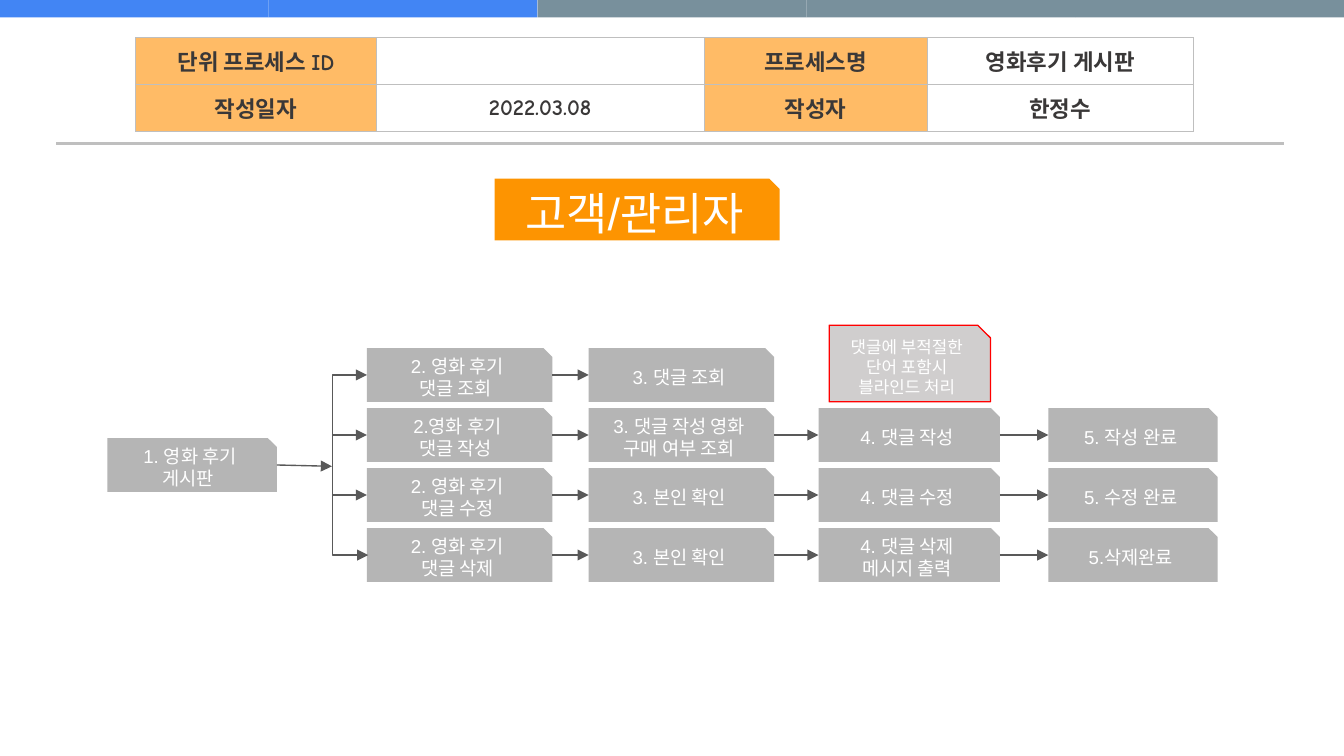
import pptx
import pptx.util
import pptx.dml.color
import pptx.enum.shapes
import pptx.enum.text
import pptx.oxml
import pptx.oxml.ns

Inches = pptx.util.Inches
Pt = pptx.util.Pt
RGBColor = pptx.dml.color.RGBColor
SHAPE = pptx.enum.shapes.MSO_SHAPE
CONNECTOR = pptx.enum.shapes.MSO_CONNECTOR
qn = pptx.oxml.ns.qn

BLUE = RGBColor(0x42, 0x85, 0xF4)
SLATE = RGBColor(0x78, 0x90, 0x9C)
AMBER = RGBColor(0xFF, 0xAB, 0x40)
ORANGE = RGBColor(0xFD, 0x94, 0x01)
WHITE = RGBColor(0xFF, 0xFF, 0xFF)
STEP_GREY = RGBColor(0xB5, 0xB5, 0xB5)
NOTE_GREY = RGBColor(0xD0, 0xCE, 0xCE)
RULE_GREY = RGBColor(0xBF, 0xBF, 0xBF)
ARROW_GREY = RGBColor(0x59, 0x59, 0x59)
INK = RGBColor(0x3A, 0x38, 0x38)
RED = RGBColor(0xFF, 0x00, 0x00)

INFO_ROWS = [
    ["단위 프로세스 ID", "", "프로세스명", "영화후기 게시판"],
    ["작성일자", "2022.03.08", "작성자", "한정수"],
]
INFO_WIDTHS = [1.79, 2.44, 1.66, 1.98]

# Left edge and width of the columns for steps 2 to 5
STEP_COLUMNS = [(2.73, 1.38), (4.38, 1.38), (6.09, 1.35), (7.8, 1.26)]
FIRST_TOP, LAST_TOP, STEP_HEIGHT = 2.59, 3.93, 0.4
BRANCH_X = 2.47
FLOWS = [
    [["2. 영화 후기", "댓글 조회 "], ["3. 댓글 조회"]],
    [["2.영화 후기", "댓글 작성 "], ["3. 댓글 작성 영화 구매 여부 조회"],
     ["4. 댓글 작성"], ["5. 작성 완료"]],
    [["2. 영화 후기", "댓글 수정"], ["3. 본인 확인"],
     ["4. 댓글 수정"], ["5. 수정 완료"]],
    [["2. 영화 후기", "댓글 삭제"], ["3. 본인 확인"],
     ["4. 댓글 삭제", "메시지 출력"], ["5.삭제완료"]],
]


def write_lines(frame, lines, size, color, font="Arial", bold=False):
    for index, line in enumerate(lines):
        paragraph = frame.paragraphs[0] if index == 0 else frame.add_paragraph()
        paragraph.alignment = pptx.enum.text.PP_ALIGN.CENTER
        paragraph.font.size = Pt(size)
        if line:
            run = paragraph.add_run()
            run.text = line
            run.font.name = font
            run.font.size = Pt(size)
            run.font.bold = bold
            run.font.color.rgb = color


def add_box(slide, preset, left, top, width, height, fill):
    box = slide.shapes.add_shape(
        preset, Inches(left), Inches(top), Inches(width), Inches(height))
    box.shadow.inherit = False
    box.fill.solid()
    box.fill.fore_color.rgb = fill
    box.line.fill.background()
    return box


def add_step(slide, left, top, width, lines, height=STEP_HEIGHT,
             fill=STEP_GREY, size=10):
    step = add_box(slide, SHAPE.SNIP_1_RECTANGLE, left, top, width, height, fill)
    step.text_frame.word_wrap = True
    step.text_frame.vertical_anchor = pptx.enum.text.MSO_ANCHOR.MIDDLE
    write_lines(step.text_frame, lines, size, WHITE)
    return step


def add_line(slide, start, end, color=ARROW_GREY, width=0.75,
             kind=CONNECTOR.STRAIGHT, arrow_ends=("tailEnd",)):
    line = slide.shapes.add_connector(
        kind, *[Inches(value) for value in (*start, *end)])
    line.line.color.rgb = color
    line.line.width = Pt(width)
    properties = line._element.spPr
    outline = properties.find(qn("a:ln"))
    for arrow_end in arrow_ends:
        outline.append(outline.makeelement(qn(f"a:{arrow_end}"), {"type": "triangle"}))
    properties.append(properties.makeelement(qn("a:effectLst"), {}))
    return line


def add_branch(slide, left, top, bottom):
    """Bracket whose two arrows point right, at the first and last flow."""
    span = 0.01
    branch = add_line(slide, (left, top), (left + span, bottom),
                      kind=CONNECTOR.ELBOW, arrow_ends=("headEnd", "tailEnd"))
    bend = round((BRANCH_X - left) / span * 100000)
    guides = branch._element.spPr.find(qn("a:prstGeom")).get_or_add_avLst()
    guides.append(guides.makeelement(
        qn("a:gd"), {"name": "adj1", "fmla": f"val {bend}"}))


def add_cell_borders(cell):
    properties = cell._tc.get_or_add_tcPr()
    for side in ("lnL", "lnR", "lnT", "lnB"):
        properties.append(pptx.oxml.parse_xml(
            f'<a:{side} {pptx.oxml.ns.nsdecls("a")} w="{Pt(0.75)}">'
            f'<a:solidFill><a:srgbClr val="{RULE_GREY}"/></a:solidFill></a:{side}>'))


def add_info_table(slide):
    table = slide.shapes.add_table(
        len(INFO_ROWS), len(INFO_WIDTHS), Inches(1.01), Inches(0.28),
        Inches(sum(INFO_WIDTHS)), Inches(0.7)).table
    table.first_row = table.horz_banding = False
    for column, width in zip(table.columns, INFO_WIDTHS):
        column.width = Inches(width)
    for row, texts in enumerate(INFO_ROWS):
        table.rows[row].height = Inches(0.35)
        for column, text in enumerate(texts):
            cell = table.cell(row, column)
            cell.margin_left = cell.margin_right = Inches(0.08)
            cell.margin_top = cell.margin_bottom = Inches(0.04)
            cell.vertical_anchor = pptx.enum.text.MSO_ANCHOR.MIDDLE
            add_cell_borders(cell)
            is_label = column % 2 == 0
            cell.fill.solid()
            cell.fill.fore_color.rgb = AMBER if is_label else WHITE
            if is_label:
                tint = cell._tc.tcPr.find(qn("a:solidFill"))[0]
                tint.append(tint.makeelement(qn("a:alpha"), {"val": "80000"}))
            write_lines(cell.text_frame, [text], 12, INK, "Comic Neue", True)


def add_flows(slide):
    pitch = (LAST_TOP - FIRST_TOP) / (len(FLOWS) - 1)
    middles = []
    for row, flow in enumerate(FLOWS):
        top = FIRST_TOP + row * pitch
        middle = top + STEP_HEIGHT / 2
        middles.append(middle)
        previous_right = None
        for (left, width), lines in zip(STEP_COLUMNS, flow):
            add_step(slide, left, top, width, lines)
            if previous_right:
                add_line(slide, (previous_right, middle), (left, middle))
            previous_right = left + width

    first_left = STEP_COLUMNS[0][0]
    add_branch(slide, first_left, middles[0], middles[-1])
    for middle in middles[1:-1]:
        add_line(slide, (BRANCH_X, middle), (first_left, middle))


def main():
    presentation = pptx.Presentation()
    presentation.slide_width = Inches(10)
    presentation.slide_height = Inches(10) * 9 // 16
    slide = presentation.slides.add_slide(presentation.slide_layouts[6])

    for index, color in enumerate([BLUE] * 2 + [SLATE] * 3):
        add_box(slide, SHAPE.RECTANGLE, index * 2, 0, 2, 0.13, color)
    add_line(slide, (0.42, 1.07), (9.55, 1.07), RULE_GREY, 1.5, arrow_ends=())
    add_info_table(slide)

    add_step(slide, 0.8, 3.26, 1.26, ["1. 영화 후기 게시판 "])
    add_line(slide, (2.06, 3.46), (BRANCH_X, 3.47))
    add_flows(slide)
    note = add_step(slide, 6.17, 2.42, 1.2,
                    ["댓글에 부적절한", "단어 포함시", "블라인드 처리"],
                    height=0.57, fill=NOTE_GREY, size=9)
    note.line.color.rgb = RED
    note.line.width = Pt(0.75)
    add_step(slide, 3.68, 1.33, 2.12, ["고객/관리자"],
             height=0.46, fill=ORANGE, size=24)

    presentation.save("out.pptx")


if __name__ == "__main__":
    main()
